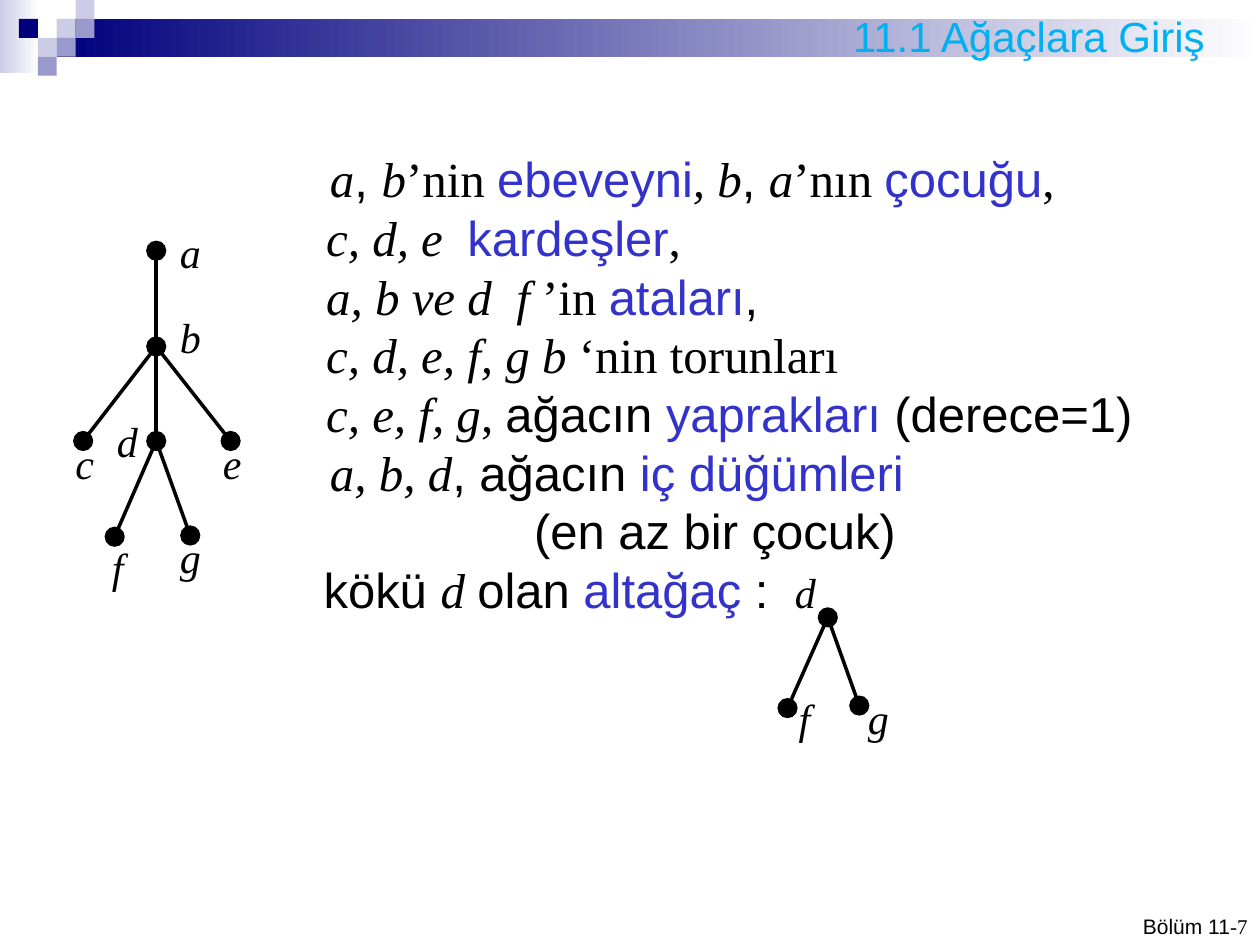
from pptx import Presentation
from pptx.dml.color import RGBColor
from pptx.enum.shapes import MSO_CONNECTOR as CONN, MSO_SHAPE as SHAPE
from pptx.enum.text import MSO_ANCHOR as ANCHOR, PP_ALIGN as ALIGN
from pptx.oxml import parse_xml
from pptx.oxml.ns import nsdecls
from pptx.util import Inches, Pt

COLORS = {"black": "000000", "navy": "00007D", "mid": "9999CC", "pale": "CCCCE6",
          "white": "FFFFFF", "term": "3333CC", "heading": "00B0F0"}
SANS, SERIF = "Arial", "Times New Roman"
STYLES = {
    "sans": {"name": SANS, "color": "black"},
    "serif": {"name": SERIF, "color": "black"},
    "var": {"name": SERIF, "color": "black", "italic": True},
    "term": {"name": SANS, "color": "term"},
    "heading": {"name": SANS, "color": "heading"},
}
LINES = [
    (2.27, [("a", "var"), (", ", "sans"), ("b", "var"), ("’nin ", "serif"),
            ("ebeveyni", "term"), (", b", "var"), (", ", "sans"), ("a", "var"),
            ("’nın ", "serif"), ("çocuğu", "term"), (",", "serif")]),
    (2.24, [("c, d, e  ", "var"), ("kardeşler", "term"), (",", "serif")]),
    (2.24, [("a, b ve d  f ", "var"), ("’in ", "serif"), ("ataları", "term"), (",", "sans")]),
    (2.24, [("c, d, e, f, g b ", "var"), ("‘nin torunları", "serif")]),
    (2.24, [("c, e, f, g", "var"), (", ", "serif"), ("ağacın ", "sans"),
            ("yaprakları ", "term"), ("(derece=1)", "sans")]),
    (2.27, [("a, b, d", "var"), (", ağacın ", "sans"), ("iç düğümleri", "term")]),
    (3.89, [("(en az bir çocuk)", "sans")]),
    (2.22, [("kökü ", "sans"), ("d ", "var"), ("olan ", "sans"),
            ("altağaç ", "term"), (":", "sans")]),
]
TREE = {
    "a": ((0.74, 0.24), (0.09, -0.24)),
    "b": ((0.74, 1), (0.09, -0.33)),
    "c": ((0.16, 1.75), (-0.16, -0.08)),
    "d": ((0.74, 1.75), (-0.41, -0.25)),
    "e": ((1.33, 1.75), (-0.16, -0.08)),
    "f": ((0.41, 2.51), (-0.12, -0.01)),
    "g": ((1.01, 2.5), (-0.18, -0.08)),
}
SUBTREE = {
    "d": ((0.4, 0.45), (-0.36, -0.45)),
    "f": ((0.08, 1.17), (-0.01, -0.17)),
    "g": ((0.65, 1.15), (-0.03, -0.15)),
}
LABEL_WIDTHS = {"c": 0.35, "e": 0.35, "f": 0.29}
DOT = 0.15


def rgb(name):
    """Return the named palette colour."""
    return RGBColor.from_string(COLORS[name])


def add_run(p, text, style, size):
    """Add a run in a named style."""
    r = p.add_run()
    r.text = text
    values = dict(STYLES[style], size=Pt(size))
    r.font.color.rgb = rgb(values.pop("color"))
    for key, value in values.items():
        setattr(r.font, key, value)


def add_text(slide, box, **frame):
    """Add a text box and return its text frame."""
    tf = slide.shapes.add_textbox(*map(Inches, box)).text_frame
    for key, value in {"word_wrap": True, **frame}.items():
        setattr(tf, key, value)
    return tf


def add_block(slide, kind, box, fill):
    """Add a plain shape with a solid fill, or a gradient for a colour pair."""
    sp = slide.shapes.add_shape(kind, *map(Inches, box))
    sp.shadow.inherit = False
    sp.line.fill.background()
    if isinstance(fill, tuple):
        sp.fill.gradient()
        sp.fill.gradient_angle = 0
        for stop, name in zip(sp.fill.gradient_stops, fill):
            stop.color.rgb = rgb(name)
    else:
        sp.fill.solid()
        sp.fill.fore_color.rgb = rgb(fill)
    return sp


def add_banner(slide, left, top):
    """Draw the gradient bars and the squares of the top banner."""
    add_block(slide, SHAPE.RECTANGLE, (left, top, 0.31, 0.58), ("pale", "white"))
    add_block(slide, SHAPE.RECTANGLE, (left + 0.45, top + 0.15, 9.55, 0.3), ("navy", "white"))
    squares = [(3, 1, "pale"), (4, 0, "pale"), (4, 1, "mid"), (2, 2, "pale"),
               (1, 1, "navy"), (3, 2, "mid"), (2, 3, "mid")]
    for col, row, fill in squares:
        box = (left + col * 0.15, top + row * 0.15, 0.15, 0.15)
        add_block(slide, SHAPE.RECTANGLE, box, fill)


def add_heading(slide, box):
    """Place and format the title placeholder."""
    sp = slide.shapes.title
    sp.left, sp.top, sp.width, sp.height = map(Inches, box)
    tf = sp.text_frame
    tf.vertical_anchor = ANCHOR.MIDDLE
    p = tf.paragraphs[0]
    p.alignment = ALIGN.LEFT
    add_run(p, "11.1 Ağaçlara Giriş", "heading", 24)


def add_definitions(slide, box):
    """Write the indented lines of tree terms."""
    tf = add_text(slide, box, vertical_anchor=ANCHOR.MIDDLE)
    for i, (indent, runs) in enumerate(LINES):
        p = tf.add_paragraph() if i else tf.paragraphs[0]
        p.line_spacing = Pt(33.5)
        pPr = p._p.get_or_add_pPr()
        pPr.set("marL", str(Inches(indent)))
        pPr.set("indent", "0")
        for text, style in runs:
            add_run(p, text, style, 28)


def add_tree(slide, left, top, nodes, edges):
    """Draw a tree of labelled dots from the given corner."""
    centers = {name: (left + x, top + y) for name, ((x, y), _) in nodes.items()}
    for parent, child in edges:
        ends = map(Inches, centers[parent] + centers[child])
        line = slide.shapes.add_connector(CONN.STRAIGHT, *ends)
        line.line.color.rgb = rgb("black")
        line.line.width = Pt(2)
        line._element.spPr.append(parse_xml(f"<a:effectLst {nsdecls('a')}/>"))
    for name, (_, (dx, dy)) in nodes.items():
        x, y = centers[name]
        sp = add_block(slide, SHAPE.OVAL, (x - DOT / 2, y - DOT / 2, DOT, DOT), "black")
        sp.line.color.rgb = rgb("black")
        sp.line.width = Pt(0.75)
        box = (x + dx, y + dy, LABEL_WIDTHS.get(name, 0.37), 0.5)
        tf = add_text(slide, box, word_wrap=False)
        add_run(tf.paragraphs[0], name, "var", 24)


def add_footer(slide, box):
    """Write the chapter and page number."""
    p = add_text(slide, box, vertical_anchor=ANCHOR.BOTTOM).paragraphs[0]
    p.alignment = ALIGN.RIGHT
    add_run(p, "Bölüm 11", "sans", 12)
    add_run(p, "-7", "serif", 12)


def main():
    """Build and save the slide."""
    prs = Presentation()
    prs.slide_width, prs.slide_height = Inches(10), Inches(7.5)
    slide = prs.slides.add_slide(prs.slide_layouts[5])
    add_banner(slide, 0, 0)
    add_definitions(slide, (0.25, 1.17, 9.58, 3.75))
    add_tree(slide, 0.5, 1.75, TREE, ["ab", "bc", "bd", "be", "df", "dg"])
    add_tree(slide, 6.17, 4.45, SUBTREE, ["df", "dg"])
    add_footer(slide, (7.67, 7, 2.33, 0.5))
    add_heading(slide, (6.67, 0.08, 3.08, 0.4))
    title = slide.shapes.title._element
    title.getparent().append(title)
    prs.save("out.pptx")


if __name__ == "__main__":
    main()
